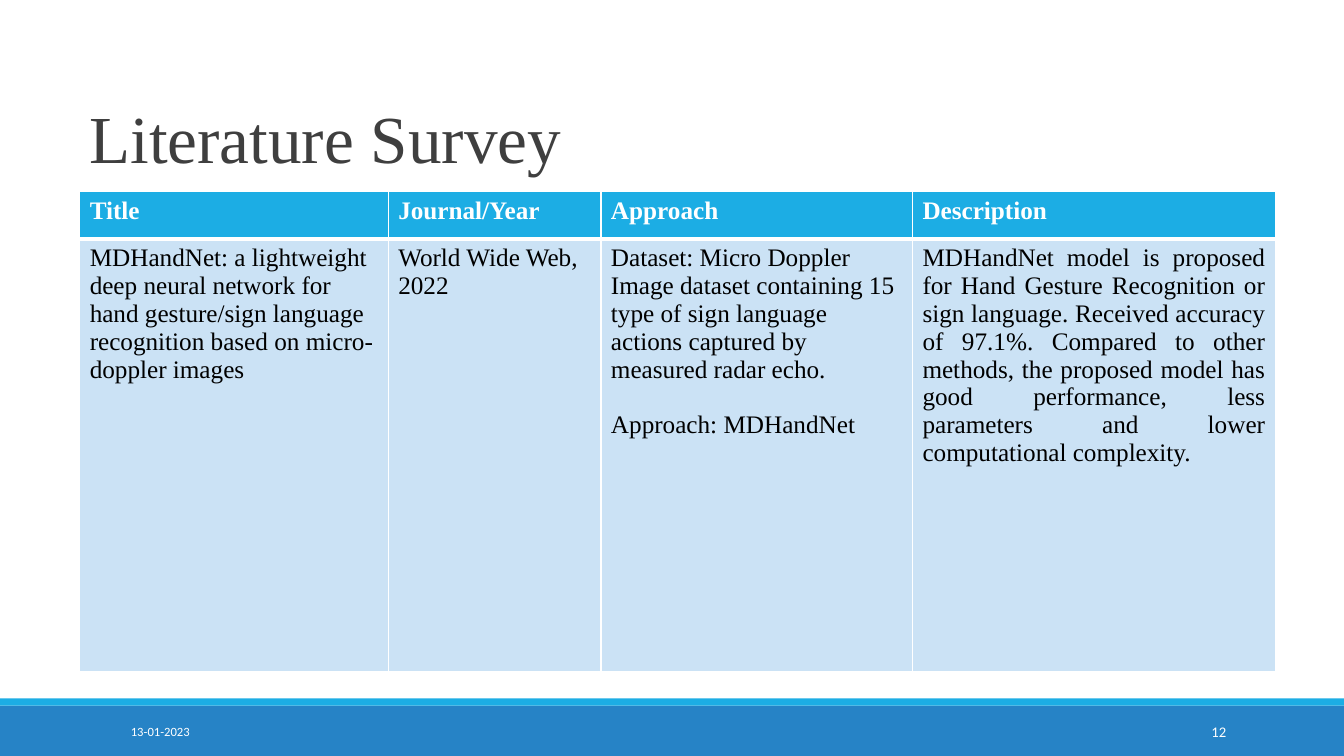
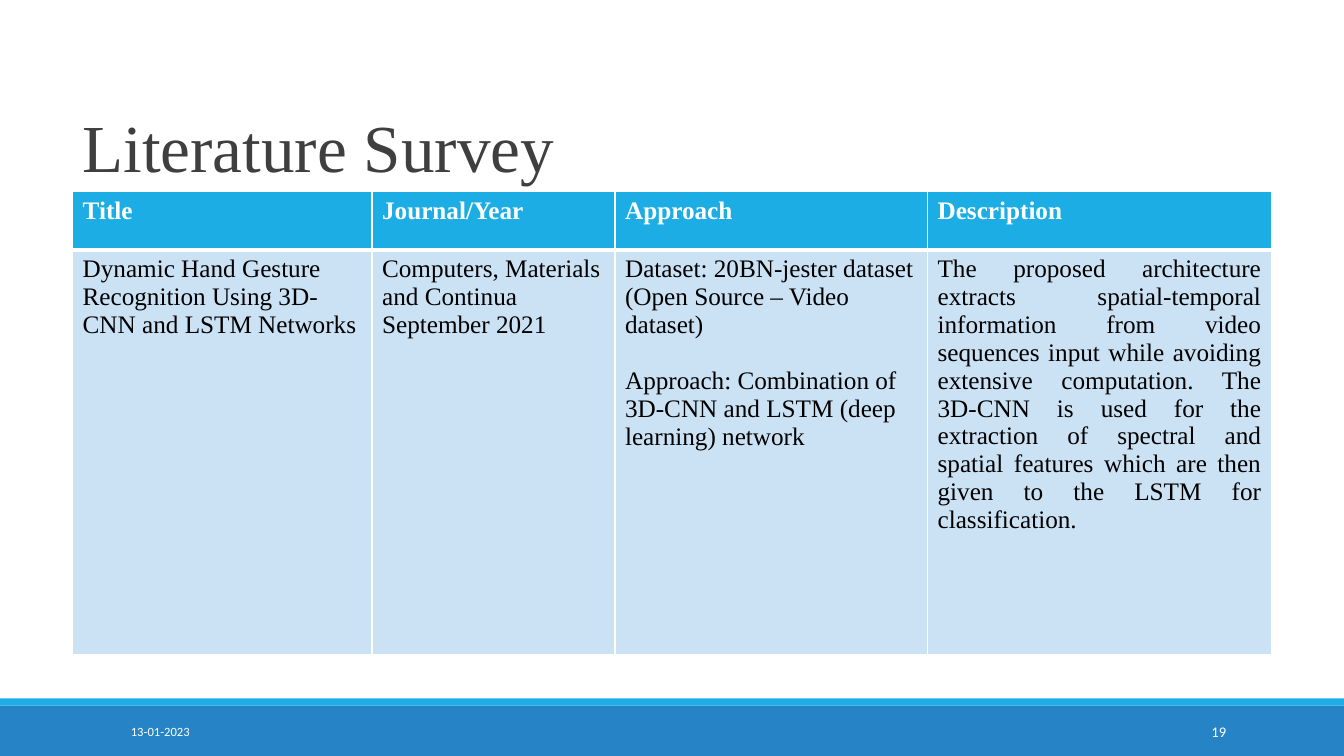
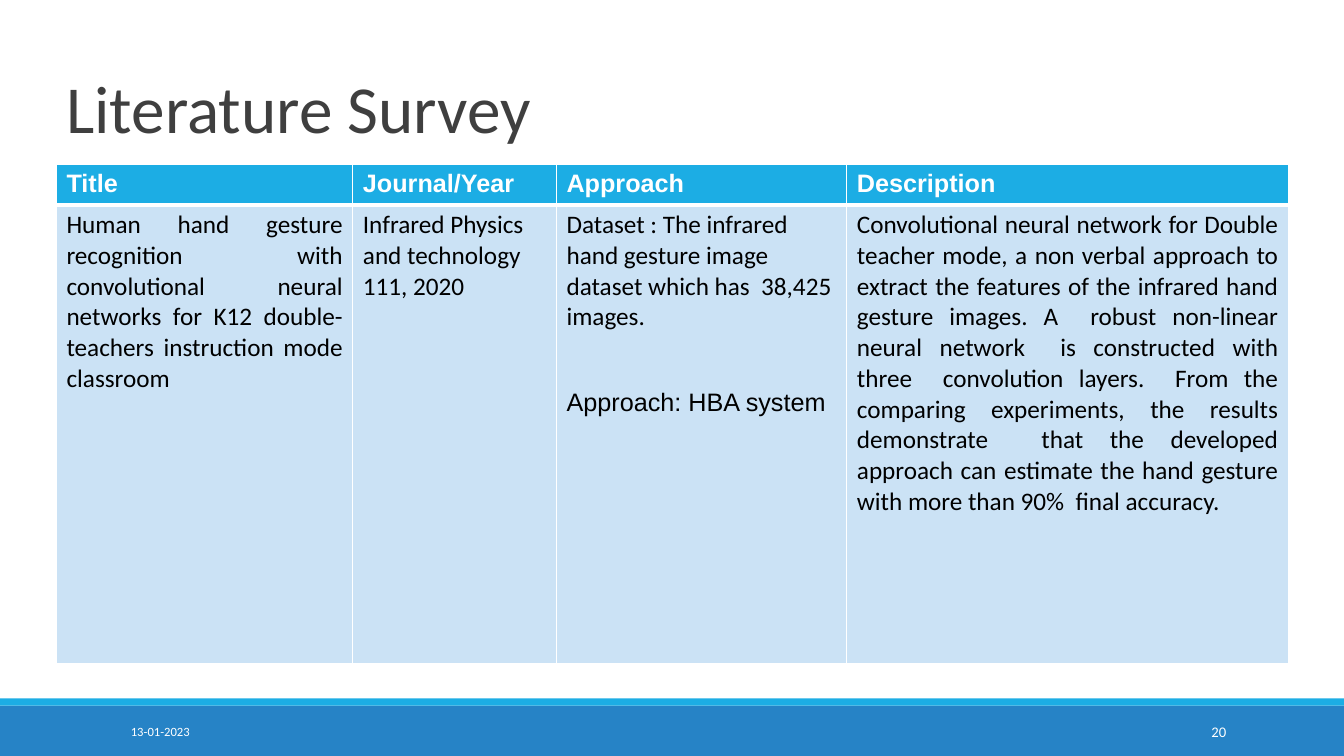
from pptx import Presentation
from pptx.dml.color import RGBColor
from pptx.enum.shapes import MSO_SHAPE as Shape
from pptx.enum.text import MSO_ANCHOR as Anchor, PP_ALIGN as Align
from pptx.oxml import parse_xml
from pptx.oxml.ns import nsdecls
from pptx.util import Inches, Pt

WIDTH, HEIGHT = 13.33, 7.5
COLORS = {
    "band": "2683C6", "accent": "1CADE4", "title": "3F3F3F",
    "cell": "CBE2F5", "text": "000000", "white": "FFFFFF",
}
SERIF, SANS, BODY = "Times New Roman", "Arial", "Calibri"
HEADERS = ["Title", "Journal/Year", "Approach", "Description"]
LEFT, JUSTIFY = Align.LEFT, Align.JUSTIFY

# Each cell is (alignment, font, paragraphs); a paragraph may name its own font.
SURVEYS = [
    {
        "number": 12, "title_box": (0.79, 0.84, 11, 0.97), "title_font": SERIF,
        "table_at": (0.79, 1.9), "columns": [3.06, 2.11, 3.09, 3.6],
        "rows": [0.47, 4.29], "header_font": SERIF, "gap": 20,
        "cells": [
            (LEFT, SERIF, ["MDHandNet: a lightweight deep neural network for hand "
                           "gesture/sign language recognition based on micro-doppler images"]),
            (LEFT, SERIF, ["World Wide Web, 2022"]),
            (LEFT, SERIF, ["Dataset: Micro Doppler Image dataset containing 15 type of sign "
                           "language actions captured by measured radar echo.",
                           "Approach: MDHandNet"]),
            (JUSTIFY, SERIF, ["MDHandNet model is proposed for Hand Gesture Recognition or sign "
                              "language. Received accuracy of 97.1%. Compared to other methods, "
                              "the proposed model has good performance, less parameters and "
                              "lower computational complexity."]),
        ],
    },
    {
        "number": 19, "title_box": (0.72, 1.01, 11, 0.89), "title_font": SERIF,
        "table_at": (0.72, 1.9), "columns": [2.97, 2.41, 3.1, 3.41],
        "rows": [0.58, 4.01], "header_font": SERIF, "gap": 20,
        "cells": [
            (LEFT, SERIF, ["Dynamic Hand Gesture Recognition Using 3D-CNN and LSTM Networks"]),
            (LEFT, SERIF, ["Computers, Materials and Continua September 2021"]),
            (LEFT, SERIF, ["Dataset: 20BN-jester dataset (Open Source – Video dataset)",
                           "Approach: Combination of 3D-CNN and LSTM (deep learning) network"]),
            (JUSTIFY, SERIF, ["The proposed architecture extracts spatial-temporal information "
                              "from video sequences input while avoiding extensive computation. "
                              "The 3D-CNN is used for the extraction of spectral and spatial "
                              "features which are then given to the LSTM for classification."]),
        ],
    },
    {
        "number": 20, "title_box": (0.56, 0.62, 10.35, 0.89), "title_font": BODY,
        "table_at": (0.56, 1.63), "columns": [2.94, 2.02, 2.88, 4.38],
        "rows": [0.38, 4.55], "header_font": SANS, "gap": 40,
        "cells": [
            (JUSTIFY, BODY, ["Human hand gesture recognition with convolutional neural networks "
                             "for K12 double-teachers instruction mode classroom"]),
            (LEFT, BODY, ["Infrared Physics and technology 111, 2020"]),
            (LEFT, BODY, ["Dataset : The infrared hand gesture image dataset which has  38,425 "
                          "images.",
                          ("Approach: HBA system", SANS)]),
            (JUSTIFY, BODY, ["Convolutional neural network for Double teacher mode, a non verbal "
                             "approach to extract the features of the infrared hand gesture "
                             "images. A  robust non-linear neural network  is constructed with "
                             "three  convolution layers.  From the comparing experiments, the "
                             "results demonstrate  that the developed approach can estimate the "
                             "hand gesture with more than 90%  final accuracy."]),
        ],
    },
]


def color(name):
    return RGBColor.from_string(COLORS[name])


def style(para, font, size, ink, bold=False, align=LEFT):
    para.alignment = align
    para.font.name, para.font.size, para.font.bold = font, Pt(size), bold
    para.font.color.rgb = color(ink)


def add_text(page, box, text, font, size, ink, anchor, align=LEFT):
    frame = page.shapes.add_textbox(*map(Inches, box)).text_frame
    frame.word_wrap = True
    frame.vertical_anchor = anchor
    para = frame.paragraphs[0]
    para.text = text
    style(para, font, size, ink, align=align)
    return para


def add_band(page, top, height, fill):
    band = page.shapes.add_shape(Shape.RECTANGLE, 0, Inches(top), Inches(WIDTH), Inches(height))
    band.shadow.inherit = False
    band.fill.solid()
    band.fill.fore_color.rgb = color(fill)
    band.line.fill.background()


def add_footer(page, number):
    add_band(page, 7, 0.5, "band")
    add_band(page, 6.93, 0.07, "accent")
    add_text(page, (1.2, 7.06, 2.7, 0.4), "13-01-2023", BODY, 9, "white", Anchor.MIDDLE)
    add_text(page, (10.83, 7.06, 1.43, 0.4), str(number), BODY, 10.5, "white",
             Anchor.MIDDLE, Align.RIGHT)


def add_title(page, box, font):
    para = add_text(page, box, "Literature Survey", font, 48, "title", Anchor.BOTTOM)
    para.line_spacing = 0.85


def set_borders(cell, widths):
    """Give the cell white borders; widths are points for left, right, top, bottom."""
    properties = cell._tc.get_or_add_tcPr()
    for index, (side, width) in enumerate(zip("LRTB", widths)):
        properties.insert(index, parse_xml(
            f'<a:ln{side} {nsdecls("a")} w="{Pt(width)}"><a:solidFill>'
            f'<a:srgbClr val="{COLORS["white"]}"/></a:solidFill></a:ln{side}>'))


def fill_cell(cell, fill, borders, paragraphs, font, ink, bold, align, gap):
    cell.fill.solid()
    cell.fill.fore_color.rgb = color(fill)
    set_borders(cell, borders)
    frame = cell.text_frame
    for index, item in enumerate(paragraphs):
        text, face = item if isinstance(item, tuple) else (item, font)
        para = frame.add_paragraph() if index else frame.paragraphs[0]
        para.text = text
        style(para, face, 18, ink, bold, align)
        if index:
            para.space_before = Pt(gap)


def add_survey_table(page, survey):
    columns, rows = survey["columns"], survey["rows"]
    box = (*survey["table_at"], sum(columns), sum(rows))
    table = page.shapes.add_table(len(rows), len(columns), *map(Inches, box)).table
    for row, height in zip(table.rows, rows):
        row.height = Inches(height)
    for index, (width, header) in enumerate(zip(columns, HEADERS)):
        table.columns[index].width = Inches(width)
        fill_cell(table.cell(0, index), "accent", (1, 1, 1, 3), [header],
                  survey["header_font"], "white", True, LEFT, 0)
        align, font, paragraphs = survey["cells"][index]
        fill_cell(table.cell(1, index), "cell", (1, 1, 3, 1), paragraphs,
                  font, "text", False, align, survey["gap"])


def add_survey_slide(deck, survey):
    page = deck.slides.add_slide(deck.slide_layouts[6])
    add_footer(page, survey["number"])
    add_title(page, survey["title_box"], survey["title_font"])
    add_survey_table(page, survey)


def main():
    deck = Presentation()
    deck.slide_width, deck.slide_height = Inches(WIDTH), Inches(HEIGHT)
    for survey in SURVEYS:
        add_survey_slide(deck, survey)
    deck.save("out.pptx")


if __name__ == "__main__":
    main()
